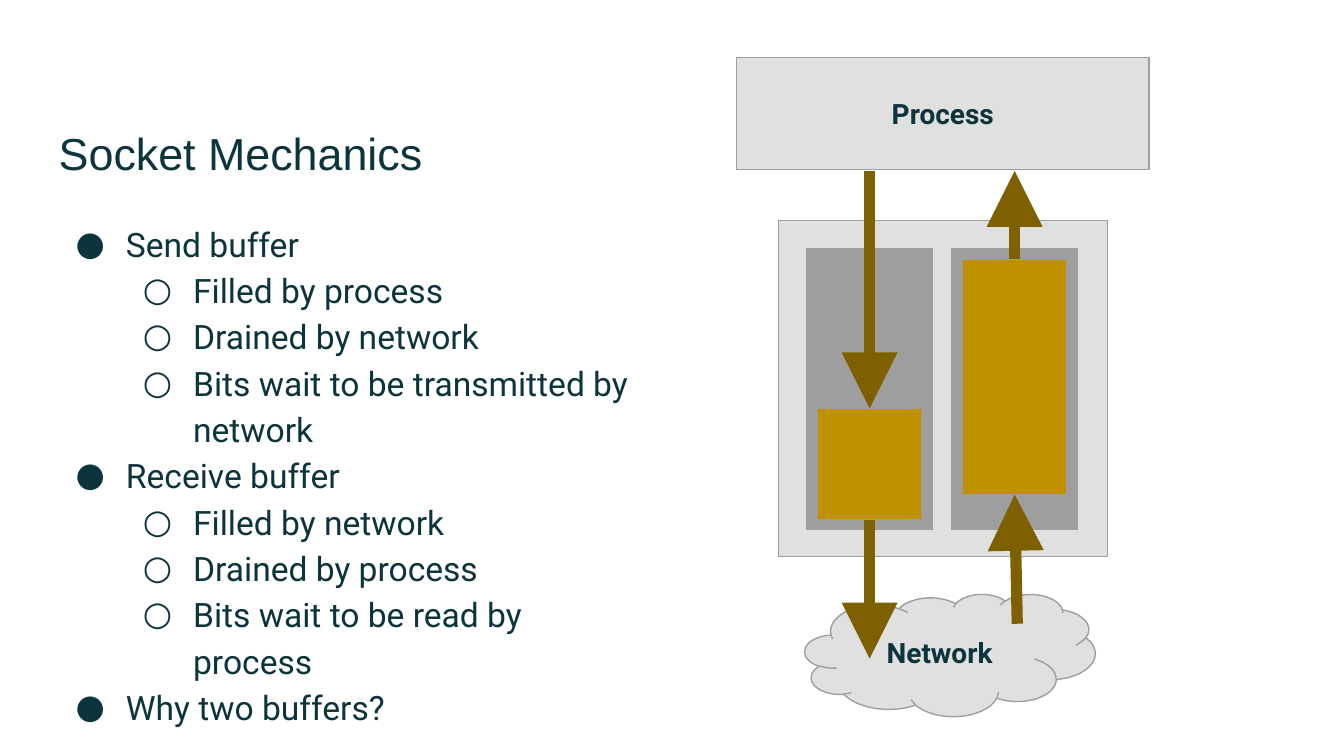
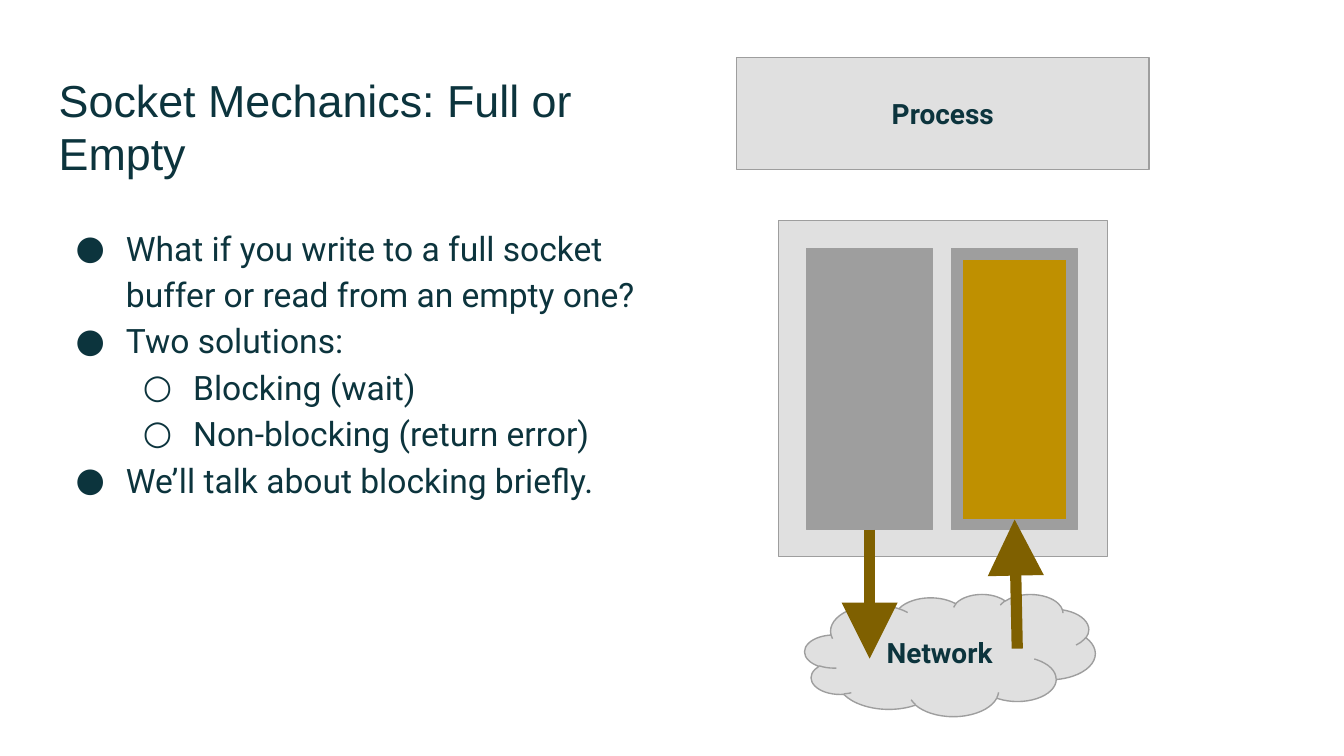
from dataclasses import dataclass
from typing import NamedTuple

from lxml.etree import SubElement
from pptx import Presentation
from pptx.dml.color import RGBColor
from pptx.enum.shapes import MSO_CONNECTOR as Connector, MSO_SHAPE as Preset
from pptx.enum.text import MSO_ANCHOR as Anchor, MSO_AUTO_SIZE as AutoSize, PP_ALIGN as Align
from pptx.oxml.ns import qn
from pptx.util import Cm, Pt


@dataclass(frozen=True)
class Theme:
    ink: str = "0C343D"
    panel: str = "E0E0E0"
    gray: str = "9E9E9E"
    data: str = "BF9000"
    arrow: str = "7F6000"
    title_font: str = "Arial"
    body_font: str = "Roboto"
    title_size: int = 24
    body_size: int = 18
    label_size: int = 15
    outline: float = 0.75
    arrow_width: int = 6


class Box(NamedTuple):
    left: float
    top: float
    width: float
    height: float

    def inside(self, left, top, width, height):
        return Box(self.left + left, self.top + top, width, height)

    @property
    def center(self):
        return self.left + self.width / 2

    @property
    def bottom(self):
        return self.top + self.height


THEME = Theme()
DIAGRAM = Box(13.92, 1.09, 7.8, 11.36)
TOP, BOTTOM = 0, 2
BUFFER_STEP = 2.74
DATA_INSET = 0.2
BULLETS = "●○"


def place(shape, box):
    shape.left, shape.top, shape.width, shape.height = map(Cm, box)


def write(paragraph, text, *, size=THEME.body_size, font=THEME.body_font,
          bold=False, align=Align.LEFT, spacing=1.0, after=0):
    run = paragraph.add_run()
    run.text = text
    run.font.size = Pt(size)
    run.font.name = font
    run.font.bold = bold
    run.font.color.rgb = RGBColor.from_string(THEME.ink)
    paragraph.alignment = align
    paragraph.line_spacing = spacing
    paragraph.space_before = Pt(0)
    paragraph.space_after = Pt(after)


def prepare_frame(shape, anchor):
    frame = shape.text_frame
    frame.word_wrap = True
    frame.auto_size = AutoSize.NONE
    frame.vertical_anchor = anchor
    frame.margin_left = frame.margin_right = Cm(0.25)
    frame.margin_top = frame.margin_bottom = Cm(0.25)
    return frame


def add_bullet(paragraph, level):
    paragraph.level = level
    properties = paragraph._p.get_or_add_pPr()
    properties.set("marL", str(Cm(1.27 * (level + 1))))
    properties.set("indent", str(Cm(-0.95)))
    color = SubElement(properties, qn("a:buClr"))
    SubElement(color, qn("a:srgbClr"), val=THEME.ink)
    SubElement(properties, qn("a:buFont"), typeface=THEME.body_font)
    SubElement(properties, qn("a:buChar"), char=BULLETS[level])


def fill_title(slide, box, text):
    title = slide.shapes.title
    place(title, box)
    frame = prepare_frame(title, Anchor.BOTTOM)
    write(frame.paragraphs[0], text, size=THEME.title_size, font=THEME.title_font)


def fill_body(slide, box, items):
    body = slide.placeholders[1]
    place(body, box)
    frame = prepare_frame(body, Anchor.TOP)
    for index, (level, text) in enumerate(items):
        paragraph = frame.add_paragraph() if index else frame.paragraphs[0]
        last = index == len(items) - 1
        write(paragraph, text, spacing=1.15, after=16 if last else 0)
        add_bullet(paragraph, level)


def add_block(slide, box, color, preset=Preset.RECTANGLE, label=None):
    shape = slide.shapes.add_shape(preset, *map(Cm, box))
    shape.shadow.inherit = False
    shape.fill.solid()
    shape.fill.fore_color.rgb = RGBColor.from_string(color)
    shape.line.color.rgb = RGBColor.from_string(THEME.gray)
    shape.line.width = Pt(THEME.outline)
    if label:
        frame = prepare_frame(shape, Anchor.MIDDLE)
        write(frame.paragraphs[0], label, size=THEME.label_size, bold=True, align=Align.CENTER)
    return shape


def add_arrow(slide, start, end, begin=None, finish=None):
    arrow = slide.shapes.add_connector(Connector.STRAIGHT, *map(Cm, (*start, *end)))
    if begin:
        arrow.begin_connect(*begin)
    if finish:
        arrow.end_connect(*finish)
    arrow.line.color.rgb = RGBColor.from_string(THEME.arrow)
    arrow.line.width = Pt(THEME.arrow_width)
    SubElement(arrow.line._get_or_add_ln(), qn("a:tailEnd"), type="triangle", w="lg", len="lg")
    SubElement(arrow._element.spPr, qn("a:effectLst"))


def draw_diagram(slide, box, send_data, receive_data, process_arrows):
    process = box.inside(0, 0, 7.8, 2.11)
    add_block(slide, process, THEME.panel, label="Process")
    add_block(slide, box.inside(0.79, 3.08, 6.22, 6.35), THEME.panel)
    add_block(slide, box.inside(1.29, 10.14, 5.49, 2.31), THEME.panel, Preset.CLOUD, "Network")

    contents = []
    buffers = [box.inside(1.32 + BUFFER_STEP * column, 3.61, 2.39, 5.31) for column in range(2)]
    holders = [add_block(slide, buffer, THEME.gray) for buffer in buffers]
    for buffer, holder, data in zip(buffers, holders, (send_data, receive_data)):
        if data:
            offset, height = data
            area = buffer.inside(DATA_INSET, offset, buffer.width - 2 * DATA_INSET, height)
            contents.append((area, add_block(slide, area, THEME.data)))
        else:
            contents.append((buffer, holder))

    (sent, sender), (received, receiver) = contents
    process_edge = process.bottom + 0.03
    if process_arrows:
        add_arrow(slide, (sent.center, process_edge), (sent.center, sent.top),
                  finish=(sender, TOP))
        add_arrow(slide, (received.center, received.top), (received.center, process_edge),
                  begin=(receiver, TOP))
    add_arrow(slide, (received.center + 0.05, received.bottom + 2.44),
              (received.center, received.bottom), finish=(receiver, BOTTOM))
    add_arrow(slide, (sent.center, sent.bottom), (sent.center, box.bottom),
              begin=(sender, BOTTOM))


def add_socket_slide(presentation, title, title_width, items, body_box, **diagram):
    slide = presentation.slides.add_slide(presentation.slide_layouts[1])
    fill_title(slide, Box(0.86, 1.55, title_width, 2.1), title)
    fill_body(slide, body_box, items)
    draw_diagram(slide, DIAGRAM, **diagram)


def main():
    presentation = Presentation()
    presentation.slide_width, presentation.slide_height = Cm(25.4), Cm(14.29)
    add_socket_slide(
        presentation, "Socket Mechanics", 7.8,
        [
            (0, "Send buffer"),
            (1, "Filled by process"),
            (1, "Drained by network"),
            (1, "Bits wait to be transmitted by network"),
            (0, "Receive buffer"),
            (1, "Filled by network"),
            (1, "Drained by process"),
            (1, "Bits wait to be read by process"),
            (0, "Why two buffers?"),
        ],
        Box(0.86, 3.86, 11.28, 8.84),
        send_data=(3.02, 2.1), receive_data=(DATA_INSET, 4.45), process_arrows=True,
    )
    add_socket_slide(
        presentation, "Socket Mechanics: Full or Empty", 10.69,
        [
            (0, "What if you write to a full socket buffer or read from an empty one?"),
            (0, "Two solutions:"),
            (1, "Blocking (wait)"),
            (1, "Non-blocking (return error)"),
            (0, "We’ll talk about blocking briefly."),
        ],
        Box(0.86, 3.94, 11.76, 8.84),
        send_data=None, receive_data=(DATA_INSET, 4.92), process_arrows=False,
    )
    presentation.save("out.pptx")


if __name__ == "__main__":
    main()
